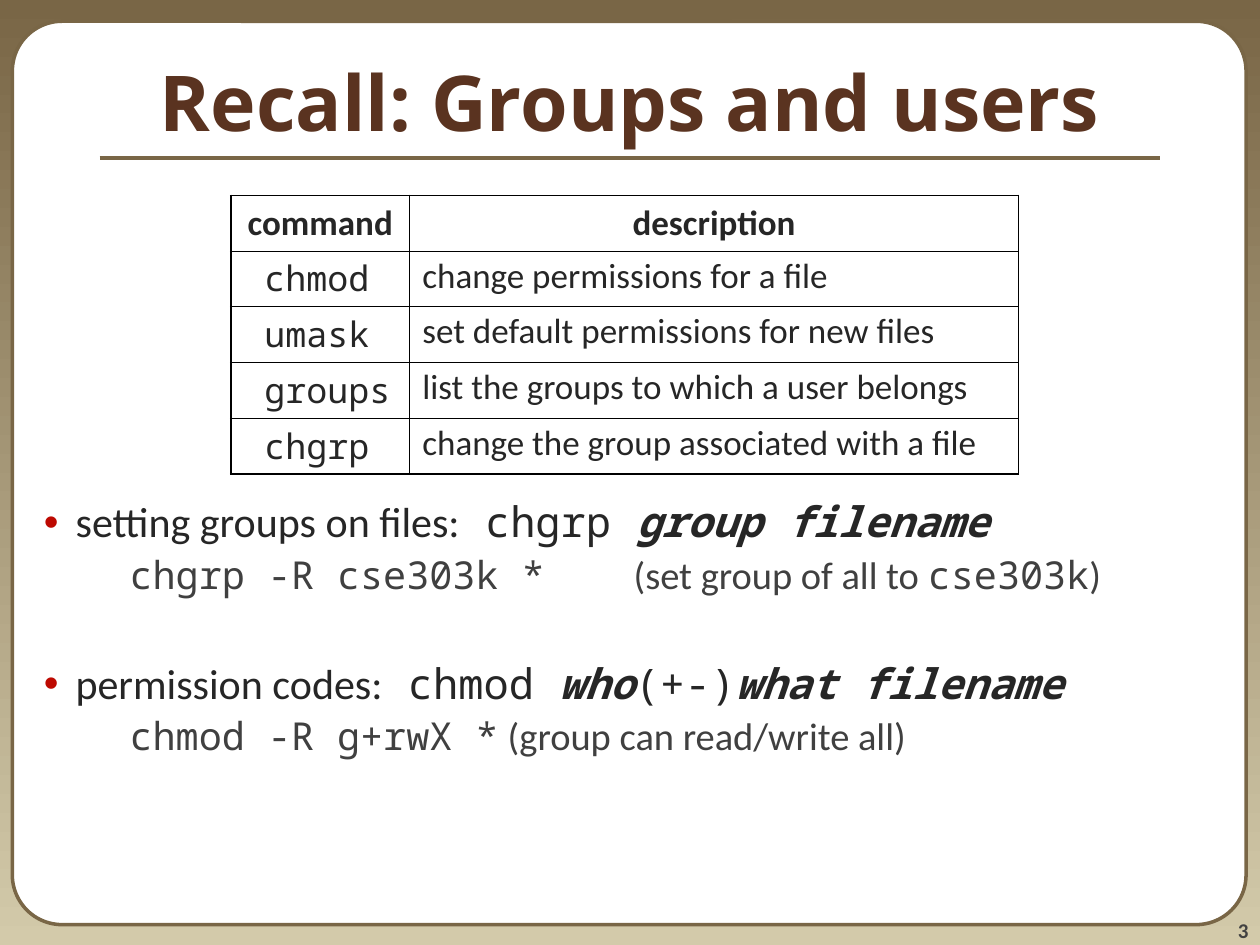
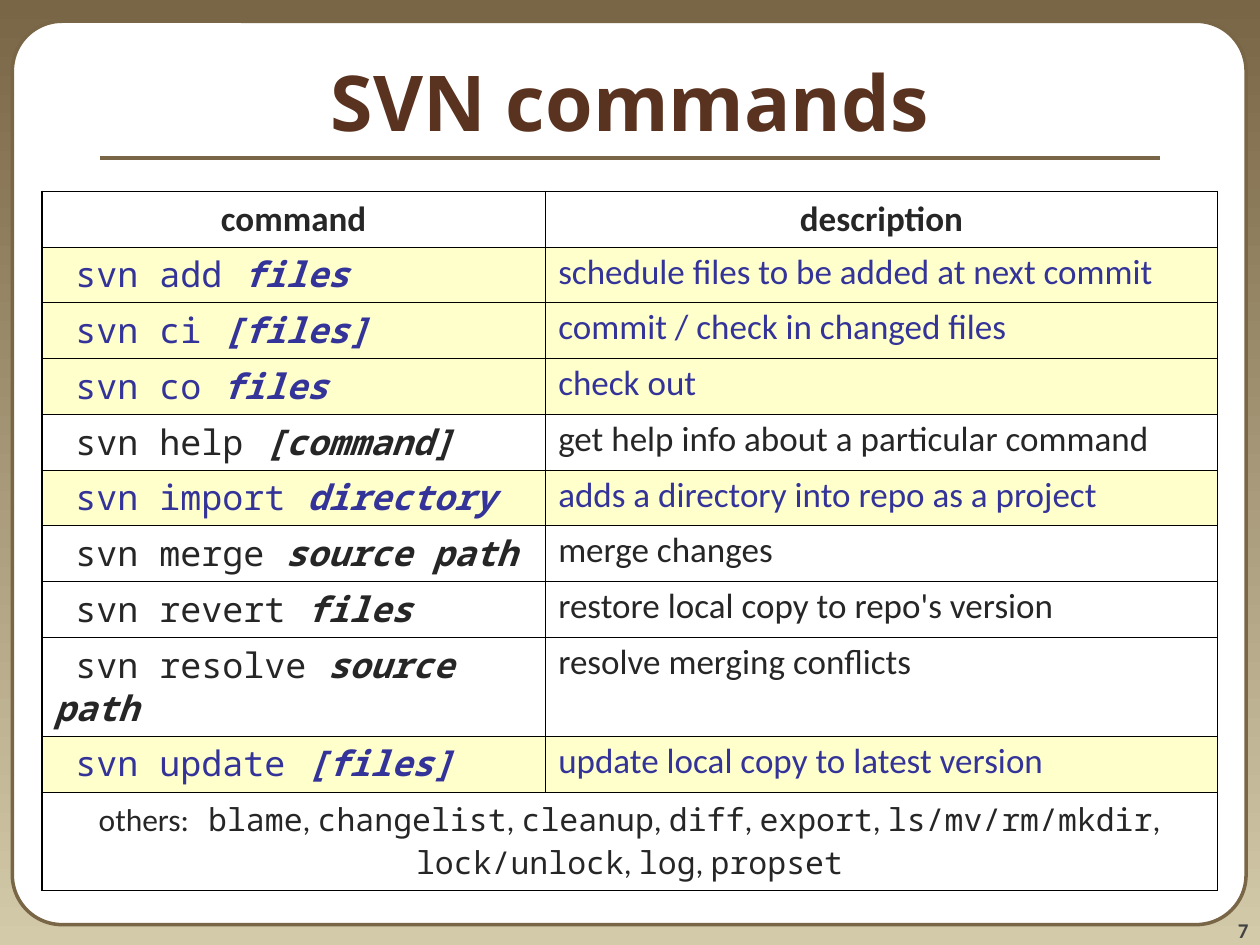
from dataclasses import dataclass
from typing import Any

from lxml.etree import SubElement as Sub
from pptx import Presentation
from pptx.dml.color import RGBColor as Rgb
from pptx.enum.shapes import MSO_CONNECTOR as Link, MSO_SHAPE as Form
from pptx.enum.text import MSO_ANCHOR as Anchor, MSO_AUTO_SIZE as Fit, PP_ALIGN as Align
from pptx.oxml.ns import qn
from pptx.util import Cm, Pt

# Shared look
COLORS = {
    "top": "796646", "base": "D3CAAA", "panel": "FFFFFF", "title": "5A3320",
    "text": "262626", "sub": "404040", "page": "424242", "dot": "BD0901",
    "grid": "000000", "hot": "333399", "glow": "FFFFCC",
}
SANS, MONO, HEAD = "Calibri", "Noto Sans Mono", "Noto Sans"
FACES = {
    "plain": {"name": SANS, "bold": False, "italic": False},
    "bold": {"name": SANS, "bold": True, "italic": False},
    "code": {"name": MONO, "bold": False, "italic": False},
    "arg": {"name": MONO, "bold": True, "italic": True},
    "title": {"name": HEAD, "bold": True, "italic": False},
}
CENTER = {"alignment": Align.CENTER}
TIGHT = {"alignment": Align.LEFT, "line_spacing": 0.9}
THICK, THIN = Pt(1.08), Pt(0.45)
ROW, TOP_ROW = 1.04, 1.12


@dataclass
class Run:
    text: str
    face: str = "plain"


@dataclass
class Item:
    runs: list[Run]
    level: int = 0
    before: float = 0


@dataclass
class Entry:
    code: str
    arg: str
    note: str
    hot: bool = False
    high: float = ROW


@dataclass
class Grid:
    left: float
    top: float
    cols: tuple[float, float]
    rows: list[Entry]
    foot: list[Run] | None = None
    low: float = 1.8


def rgb(key: str) -> Rgb:
    return Rgb.from_string(COLORS[key])


def apply(obj: Any, vals: dict) -> None:
    for key, val in vals.items():
        setattr(obj, key, val)


def write(par: Any, runs: list[Run], size: float, color: str, look: dict) -> None:
    apply(par, look)
    for item in runs:
        run = par.add_run()
        run.text = item.text
        apply(run.font, FACES[item.face] | {"size": Pt(size)})
        run.font.color.rgb = rgb(color)


def place(shape: Any, left: float, top: float, wide: float, high: float) -> None:
    apply(shape, {"left": Cm(left), "top": Cm(top), "width": Cm(wide), "height": Cm(high)})


# Panel, page number, rule and title of each slide
def start(prs: Any, kind: int, title: str, page: str) -> Any:
    slide = prs.slides.add_slide(prs.slide_layouts[kind])
    shapes = slide.shapes
    holders = list(slide.placeholders)

    panel = shapes.add_shape(Form.ROUNDED_RECTANGLE, Cm(0.25), Cm(0.43), Cm(24.87), Cm(18.21))
    panel.adjustments[0] = 0.055
    panel.shadow.inherit = False
    panel.fill.solid()
    panel.fill.fore_color.rgb = rgb("panel")
    panel.line.color.rgb = rgb("top")
    panel.line.width = Pt(2)

    frame = shapes.add_textbox(Cm(23.06), Cm(17.98), Cm(2.11), Cm(1.02)).text_frame
    apply(frame, {"word_wrap": True, "vertical_anchor": Anchor.BOTTOM, "margin_left": 0,
                  "margin_right": 0, "margin_top": 0, "margin_bottom": 0})
    write(frame.paragraphs[0], [Run(page, "bold")], 12, "page", {"alignment": Align.RIGHT})

    rule = shapes.add_connector(Link.STRAIGHT, Cm(2.01), Cm(3.18), Cm(23.39), Cm(3.18))
    rule.line.color.rgb = rgb("top")
    rule.line.width = Pt(2.25)
    Sub(rule.element.spPr, qn("a:effectLst"))

    # Placeholders go above the panel
    for holder in holders:
        holder.element.getparent().append(holder.element)
    place(shapes.title, 0, 0.43, 25.4, 3.18)
    frame = shapes.title.text_frame
    apply(frame, {"auto_size": Fit.NONE, "vertical_anchor": Anchor.MIDDLE})
    write(frame.paragraphs[0], [Run(title, "title")], 44, "title", CENTER)
    return slide


def bullets(slide: Any, items: list[Item]) -> None:
    body = slide.placeholders[1]
    place(body, 0, 3.61, 25.4, 15.44)
    frame = body.text_frame
    apply(frame, {"auto_size": Fit.NONE, "margin_top": Cm(6.5)})
    for num, item in enumerate(items):
        par = frame.add_paragraph() if num else frame.paragraphs[0]
        par.level = item.level
        props = par._p.get_or_add_pPr()
        left, hang = (2.36, 0) if item.level else (1.27, -0.64)
        for key, val in {"marL": Cm(left), "indent": Cm(hang), "defTabSz": Cm(2.54)}.items():
            props.set(key, str(int(val)))
        if item.level:
            Sub(props, qn("a:buNone"))
        else:
            Sub(Sub(props, qn("a:buClr")), qn("a:srgbClr"), val=COLORS["dot"])
            Sub(props, qn("a:buChar"), char="•")
        size, color = (22, "sub") if item.level else (24, "text")
        write(par, item.runs, size, color, TIGHT | {"space_before": Pt(item.before)})


# Tables: thick outer frame, thin inner lines
def border(cell: Any, thick: dict[str, bool]) -> None:
    props = cell._tc.get_or_add_tcPr()
    for side, outer in thick.items():
        line = Sub(props, qn(f"a:ln{side}"), w=str(int(THICK if outer else THIN)))
        Sub(Sub(line, qn("a:solidFill")), qn("a:srgbClr"), val=COLORS["grid"])


def grid(slide: Any, data: Grid) -> None:
    highs = [TOP_ROW] + [row.high for row in data.rows] + ([data.low] if data.foot else [])
    table = slide.shapes.add_table(
        len(highs), 2, Cm(data.left), Cm(data.top), Cm(sum(data.cols)), Cm(sum(highs))).table
    apply(table, {"first_row": False, "horz_banding": False})
    for col, wide in zip(table.columns, data.cols):
        col.width = Cm(wide)
    for row, high in zip(table.rows, highs):
        row.height = Cm(high)

    last = len(highs) - 1
    for r in range(last + 1):
        hot = 0 < r <= len(data.rows) and data.rows[r - 1].hot
        for c in range(2):
            cell = table.cell(r, c)
            whole = bool(data.foot) and r == last
            border(cell, {"L": c == 0, "R": c == 1 or whole, "T": r == 0, "B": r == last})
            if hot:
                cell.fill.solid()
                cell.fill.fore_color.rgb = rgb("glow")
            else:
                cell.fill.background()

    for c, name in enumerate(("command", "description")):
        write(table.cell(0, c).text_frame.paragraphs[0], [Run(name, "bold")], 20, "text", CENTER)
    for r, row in enumerate(data.rows, 1):
        code = [Run(" " + row.code, "code")]
        if row.arg:
            code = [Run(f" {row.code} ", "code"), Run(row.arg, "arg")]
        for c, runs in enumerate((code, [Run(row.note)])):
            par = table.cell(r, c).text_frame.paragraphs[0]
            write(par, runs, 20, "hot" if row.hot else "text", TIGHT)
    if data.foot:
        table.cell(last, 0).merge(table.cell(last, 1))
        write(table.cell(last, 0).text_frame.paragraphs[0], data.foot, 18, "text", CENTER)


# Content
GROUPS = Grid(4.65, 3.94, (3.61, 12.27), [
    Entry("chmod", "", "change permissions for a file"),
    Entry("umask", "", "set default permissions for new files"),
    Entry("groups", "", "list the groups to which a user belongs"),
    Entry("chgrp", "", "change the group associated with a file"),
])
USAGE = [
    Item([Run("setting groups on files:"), Run(" chgrp ", "code"), Run("group filename", "arg")]),
    Item([Run("chgrp -R cse303k *\t", "code"), Run("(set group of all to "),
          Run("cse303k", "code"), Run(")")], 1, 5.5),
    Item([Run("permission codes:"), Run(" chmod ", "code"), Run("who", "arg"),
          Run("(+-)", "code"), Run("what filename", "arg")], 0, 37),
    Item([Run("chmod -R g+rwX *\t", "code"), Run("(group can read/write all)")], 1, 5.5),
]
OTHERS = ["blame", "changelist", "cleanup", "diff", "export", "ls/mv/rm/mkdir",
          "lock/unlock", "log", "propset"]
FOOT = [Run("others:"), Run(" " + OTHERS[0], "code")]
for other in OTHERS[1:]:
    FOOT += [Run(", "), Run(other, "code")]
SVN = Grid(0.84, 3.86, (10.16, 13.54), [
    Entry("svn add", "files", "schedule files to be added at next commit", True),
    Entry("svn ci", "[files]", "commit / check in changed files", True),
    Entry("svn co", "files", "check out", True),
    Entry("svn help", "[command]", "get help info about a particular command"),
    Entry("svn import", "directory", "adds a directory into repo as a project", True),
    Entry("svn merge", "source path", "merge changes"),
    Entry("svn revert", "files", "restore local copy to repo's version"),
    Entry("svn resolve", "source path", "resolve merging conflicts", high=1.73),
    Entry("svn update", "[files]", "update local copy to latest version", True),
], FOOT)


def main() -> None:
    prs = Presentation()
    apply(prs, {"slide_width": Cm(25.4), "slide_height": Cm(19.05)})
    fill = prs.slide_master.background.fill
    fill.gradient()
    fill.gradient_angle = 270
    for stop, key in zip(fill.gradient_stops, ("top", "base")):
        stop.color.rgb = rgb(key)

    slide = start(prs, 1, "Recall: Groups and users", "3")
    bullets(slide, USAGE)
    grid(slide, GROUPS)

    slide = start(prs, 5, "SVN commands", "7")
    grid(slide, SVN)
    prs.save("out.pptx")


if __name__ == "__main__":
    main()
